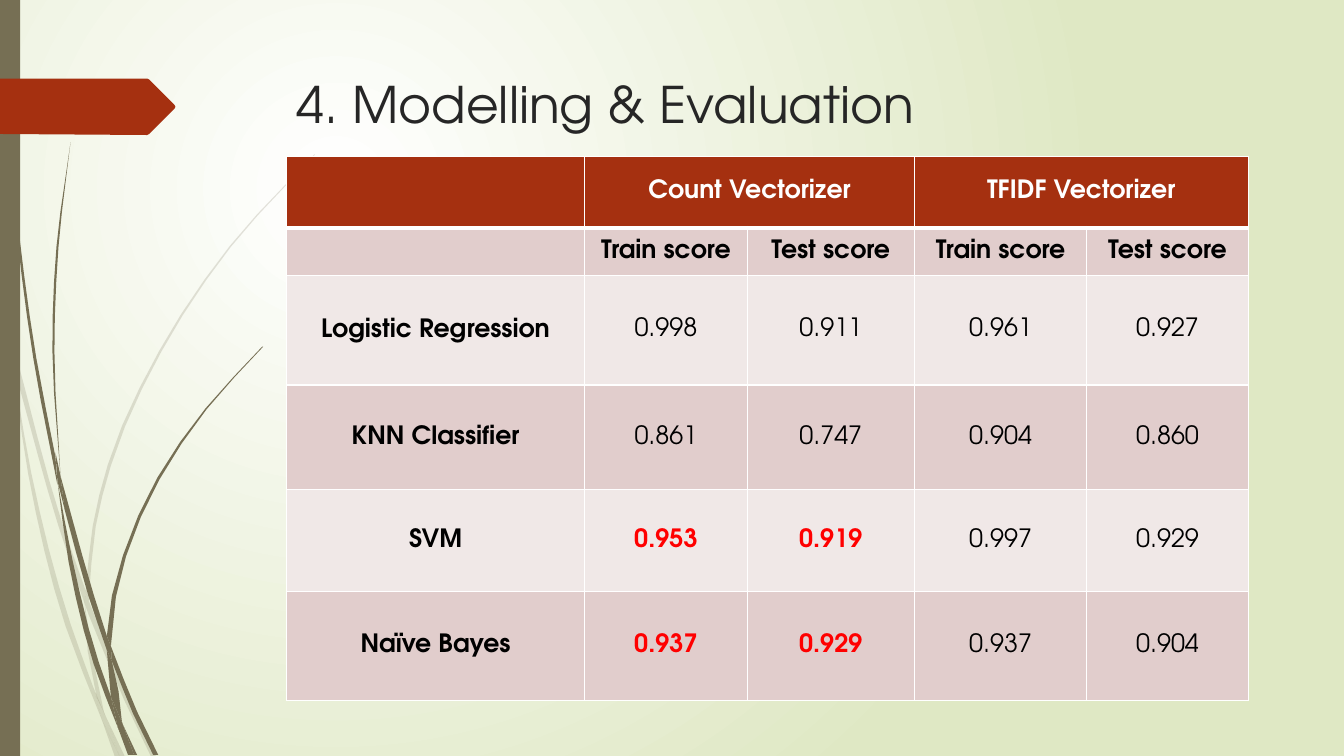
from lxml import etree
from pptx import Presentation
from pptx.dml.color import RGBColor
from pptx.enum import text as t
from pptx.oxml import ns
from pptx.util import Inches, Pt

FONT = "TeX Gyre Adventor"
WHITE = RGBColor(0xFF, 0xFF, 0xFF)
BLACK = RGBColor(0, 0, 0)
RED = RGBColor(0xFF, 0, 0)
DARK = RGBColor(0x26, 0x26, 0x26)
RUST = RGBColor(0xA5, 0x30, 0x10)
OLIVE = RGBColor(0x76, 0x6F, 0x54)
PALE_GREEN = RGBColor(0xDF, 0xE8, 0xC4)
BANDS = (RGBColor(0xE1, 0xCD, 0xCC), RGBColor(0xF0, 0xE8, 0xE7))

# Each blade piece has two smooth edges, given as x y pairs in inches.
FAINT_GRASS = (
    "0.11 3.5 0.09 3.22 0 2.82 | 0 2.99 0.1 3.44 0.11 3.5",
    "0.17 3.76 0.58 5.22 0.84 5.99 | 0.85 5.86 0.62 5.2 0.14 3.45",
    "0.88 5.96 1.27 6.92 1.55 7.51 | 1.5 7.51 1.23 6.94 0.88 6.1",
    "1.19 7.51 1.24 7.51 | 1.05 7.11 1.19 7.51",
    "0.11 3.5 0.28 4.7 0.65 6.21 1.01 7.14 | 0.93 6.83 0.7 6.19 0.31 4.69 0.11 3.5",
    "0.84 5.99 0.87 6.46 0.96 6.92 1.05 7.11 | 1.03 7.06 0.91 6.46 0.84 5.99",
    "0.88 5.96 0.95 5.22 1.1 4.62 1.6 3.49 2.29 2.45 3.12 1.54 | "
    "3.12 1.53 2.28 2.44 1.58 3.48 1.07 4.61 0.92 5.22 0.85 5.86",
    "1.01 7.14 1.14 7.51 | 1.19 7.51 1.01 7.14",
    "0.88 6.1 0.88 5.96 | 0.85 5.86 0.84 5.99",
    "0.93 6.83 1.01 7.14 1.19 7.51 | 1.19 7.51 1.05 7.11 0.93 6.83",
)
GRASS = (
    "0.03 0 0.07 1.1 0.17 2.33 0.33 3.55 0.57 4.81 | "
    "0.55 4.53 0.36 3.55 0.19 2.32 0.08 1.09 0.04 0",
    "0.64 5.05 0.88 5.92 1.06 6.45 | 1.06 6.31 0.93 5.9 0.6 4.72",
    "1.1 6.41 1.36 7.06 1.57 7.49 | 1.52 7.49 1.32 7.08 1.11 6.56",
    "0.57 4.77 0.68 5.57 0.93 6.59 1.17 7.22 | 1.1 6.91 0.98 6.57 0.72 5.56 0.57 4.77",
    "0.6 4.72 0.54 3.49 0.58 2.45 0.7 1.41 | 0.7 1.41 0.56 2.45 0.52 3.49 0.6 4.72",
    "1.33 7.49 1.36 7.49 | 1.22 7.19 1.33 7.49",
    "0.57 4.77 0.64 5.05 | 0.6 4.72 0.55 4.49",
    "1.1 6.41 1.15 5.92 1.25 5.52 1.58 4.76 2.05 4.06 2.61 3.44 | "
    "2.6 3.44 2.04 4.05 1.56 4.74 1.22 5.51 1.11 5.91 1.06 6.31",
    "1.17 7.22 1.27 7.49 | 1.31 7.49 1.17 7.22",
    "1.06 6.45 1.1 6.91 1.22 7.19 | 1.21 7.16 1.11 6.56 1.06 6.45",
    "1.06 6.45 1.11 6.56 | 1.1 6.41 1.06 6.31",
    "1.1 6.91 1.17 7.22 1.3 7.49 | 1.33 7.49 1.22 7.19 1.1 6.91",
)
RIBBON = "0 0.78 1.46 0.78 1.48 0.79 1.73 1.04 1.74 1.06 1.73 1.08 1.48 1.33 1.46 1.34 0 1.33"

SCORES = (
    ("", "Count Vectorizer", "", "TFIDF Vectorizer", ""),
    ("", "Train score", "Test score", "Train score", "Test score"),
    ("Logistic Regression", "0.998", "0.911", "0.961", "0.927"),
    ("KNN Classifier", "0.861", "0.747", "0.904", "0.860"),
    ("SVM", "0.953", "0.919", "0.997", "0.929"),
    ("Naïve Bayes", "0.937", "0.929", "0.937", "0.904"),
)
COL_WIDTHS = (2.96, 1.61, 1.66, 1.71, 1.6)
ROW_HEIGHTS = (0.71, 0.47, 1.09, 1.04, 1.01, 1.08)


def points(numbers):
    """Read x y pairs as complex numbers."""
    n = [float(v) for v in numbers.split()]
    return [complex(x, y) for x, y in zip(n[::2], n[1::2])]


def smooth(knots):
    """Sample a Hermite curve through the knots, more finely on long chords."""
    chords = [b - a for a, b in zip(knots, knots[1:])]
    units = [c / abs(c) for c in chords]
    inner = [(u * abs(d) + v * abs(c)) / (abs(c) + abs(d))
             for c, d, u, v in zip(chords, chords[1:], units, units[1:])]
    slopes = [units[0], *inner, units[-1]]
    curve = [knots[0]]
    for i, c in enumerate(chords):
        steps = min(4, 1 + int(2 * abs(c)))
        for k in range(1, steps + 1):
            f = k / steps
            bend = f * (1 - f) ** 2 * slopes[i] - f * f * (1 - f) * slopes[i + 1]
            curve.append(knots[i] + c * f * f * (3 - 2 * f) + abs(c) * bend)
    return curve


def write(tf, text, size=18, color=BLACK, bold=False, align=t.PP_ALIGN.CENTER):
    p = tf.paragraphs[0]
    p.alignment = align
    r = p.add_run()
    r.text = text
    r.font.name, r.font.size, r.font.bold = FONT, Pt(size), bold
    r.font.color.rgb = color


class Deck:
    def __init__(self):
        self.prs = Presentation()
        self.prs.slide_width, self.prs.slide_height = Inches(13.33), Inches(7.5)
        self.s = self.prs.slides.add_slide(self.prs.slide_layouts[5])

    def background(self, inner, outer):
        fill = self.s.background.fill
        fill.gradient()
        for stop, color in zip(fill.gradient_stops, (inner, outer)):
            stop.color.rgb = color
        grad = self.s.element.find(".//" + ns.qn("a:gradFill"))
        grad.remove(grad.find(ns.qn("a:lin")))
        radial = etree.SubElement(grad, ns.qn("a:path"), path="circle")
        etree.SubElement(radial, ns.qn("a:fillToRect"),
                         l="50000", t="50000", r="100000", b="100000")

    def paint(self, sp, color, opacity=100):
        sp.shadow.inherit = False
        sp.fill.solid()
        sp.fill.fore_color.rgb = color
        sp.line.fill.background()
        if opacity < 100:
            clr = sp.element.find(".//" + ns.qn("a:srgbClr"))
            etree.SubElement(clr, ns.qn("a:alpha"), val=str(opacity * 1000))

    def outline(self, pts, color, opacity=100):
        units = [(round(p.real * 1000), round(p.imag * 1000)) for p in pts]
        builder = self.s.shapes.build_freeform(*units[0], scale=Inches(1) / 1000)
        builder.add_line_segments(units[1:], close=True)
        self.paint(builder.convert_to_shape(), color, opacity)

    def blade(self, piece, opacity=100):
        edges = [smooth(points(edge)) for edge in piece.split("|")]
        self.outline(edges[0] + edges[1], OLIVE, opacity)

    def stripe(self, width):
        # MSO_SHAPE.RECTANGLE is preset 1
        sp = self.s.shapes.add_shape(1, 0, 0, Inches(width), self.prs.slide_height)
        self.paint(sp, OLIVE)

    def title(self, text):
        sp = self.s.shapes.title
        sp.left, sp.top, sp.width, sp.height = map(Inches, (2.84, 0.68, 9.75, 1.4))
        tf = sp.text_frame
        tf.word_wrap, tf.auto_size = True, t.MSO_AUTO_SIZE.NONE
        tf.vertical_anchor = t.MSO_ANCHOR.TOP
        write(tf, text, size=36, color=DARK, align=t.PP_ALIGN.LEFT)
        sp.element.getparent().append(sp.element)  # in front of the grass

    def borders(self, cell, **widths):
        """Draw white borders, with widths in points for L, R, T and B."""
        tcPr = cell._tc.get_or_add_tcPr()
        for i, (side, width) in enumerate(widths.items()):
            ln = etree.Element(ns.qn("a:ln" + side), w=str(Pt(width)))
            solid = etree.SubElement(ln, ns.qn("a:solidFill"))
            etree.SubElement(solid, ns.qn("a:srgbClr"), val=str(WHITE))
            tcPr.insert(i, ln)

    def score_table(self):
        frame = self.s.shapes.add_table(
            len(SCORES), len(COL_WIDTHS), Inches(2.84), Inches(1.55),
            Inches(sum(COL_WIDTHS)), Inches(sum(ROW_HEIGHTS)))
        table = frame.table
        for col, width in zip(table.columns, COL_WIDTHS):
            col.width = Inches(width)
        for row, height in zip(table.rows, ROW_HEIGHTS):
            row.height = Inches(height)
        for i, row in enumerate(SCORES):
            for j, text in enumerate(row):
                cell = table.cell(i, j)
                cell.fill.solid()
                cell.fill.fore_color.rgb = BANDS[(i - 1) % 2] if i else RUST
                cell.vertical_anchor = t.MSO_ANCHOR.MIDDLE
                best = i >= 4 and j in (1, 2)
                color = RED if best else BLACK if i else WHITE
                if text:
                    write(cell.text_frame, text, color=color, bold=i < 2 or j == 0 or best)
                self.borders(cell, L=1, R=1, T=3 if i == 1 else 1, B=1 if i else 3)
        for j in (1, 3):
            table.cell(0, j).merge(table.cell(0, j + 1))


def main():
    deck = Deck()
    deck.background(WHITE, PALE_GREEN)
    for piece in FAINT_GRASS:
        deck.blade(piece, opacity=20)
    for piece in GRASS:
        deck.blade(piece)
    deck.stripe(0.2)
    deck.outline(points(RIBBON), RUST)
    deck.title("4. Modelling & Evaluation")
    deck.score_table()
    deck.prs.save("out.pptx")


if __name__ == "__main__":
    main()
